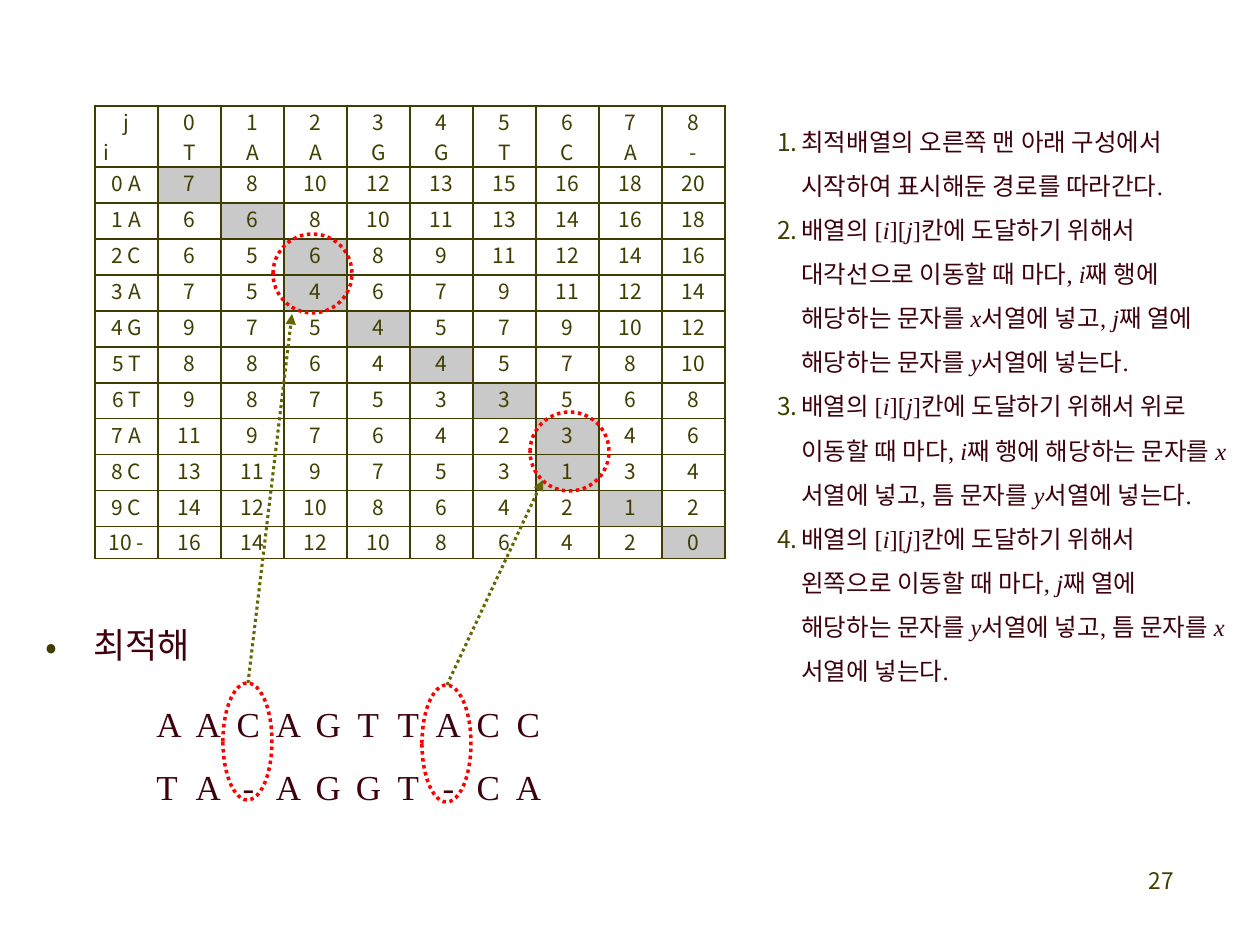
"""Build the sequence alignment slide with its cost table, traced path and rules."""
from lxml.etree import SubElement
from pptx import Presentation
from pptx.dml.color import RGBColor
from pptx.enum.dml import MSO_LINE
from pptx.enum.shapes import MSO_CONNECTOR, MSO_SHAPE
from pptx.enum.text import PP_ALIGN
from pptx.oxml import parse_xml
from pptx.oxml.ns import nsdecls, qn
from pptx.util import Emu, Pt

THEME = {
    "sans": "Noto Sans CJK KR", "serif": "Times New Roman",
    "olive": RGBColor.from_string("3F3E00"), "wine": RGBColor.from_string("3E020C"),
    "red": RGBColor.from_string("FF0000"), "moss": RGBColor.from_string("666600"),
    "gray": RGBColor.from_string("C9C9C9"),
    "cell": Pt(12), "number": Pt(13), "rule": Pt(14), "heading": Pt(20),
    "grid": Pt(1), "ring": Pt(2), "arrow": Pt(1.75),
}


def px(count):
    return Emu(round(count * 914400 / 126))


def write(para, text, font, size, color, **layout):
    for name, value in layout.items():
        setattr(para, name, value)
    for index, part in enumerate(text.split("*")):
        span = para.add_run()
        span.text = part
        span.font.color.rgb = THEME[color]
        style = {"name": THEME[font], "size": THEME[size], "italic": index % 2 == 1}
        for name, value in style.items():
            setattr(span.font, name, value)
        SubElement(span._r.get_or_add_rPr(), qn("a:ea"), typeface=THEME["sans"])


deck = Presentation()
deck.slide_width, deck.slide_height = px(1260), px(945)
page = deck.slides.add_slide(deck.slide_layouts[6])

top_sequence = "TAAGGTCA-"
side_sequence = "AACAGTTACC-"
costs = [
    [7, 8, 10, 12, 13, 15, 16, 18, 20],
    [6, 6, 8, 10, 11, 13, 14, 16, 18],
    [6, 5, 6, 8, 9, 11, 12, 14, 16],
    [7, 5, 4, 6, 7, 9, 11, 12, 14],
    [9, 7, 5, 4, 5, 7, 9, 10, 12],
    [8, 8, 6, 4, 4, 5, 7, 8, 10],
    [9, 8, 7, 5, 3, 3, 5, 6, 8],
    [11, 9, 7, 6, 4, 2, 3, 4, 6],
    [13, 11, 9, 7, 5, 3, 1, 3, 4],
    [14, 12, 10, 8, 6, 4, 2, 1, 2],
    [16, 14, 12, 10, 8, 6, 4, 2, 0],
]
path_columns = [None, 1, 2, 3, 3, 4, 5, 6, 7, 7, 8, 9]
table_rows = [["j\ni"] + [f"{j}\n{letter}" for j, letter in enumerate(top_sequence)]]
for i, letter in enumerate(side_sequence):
    table_rows.append([f"{i} {letter}"] + [str(cost) for cost in costs[i]])

row_heights = [61] + [36] * 10 + [32]
table = page.shapes.add_table(12, 10, px(95), px(106), px(630), px(sum(row_heights))).table
table.first_row = table.horz_banding = False
for column in table.columns:
    column.width = px(63)
for row_index, labels in enumerate(table_rows):
    table.rows[row_index].height = px(row_heights[row_index])
    for column_index, label in enumerate(labels):
        cell = table.cell(row_index, column_index)
        for side in ("left", "right", "top", "bottom"):
            setattr(cell, f"margin_{side}", 0)
            cell._tc.get_or_add_tcPr().append(parse_xml(
                f'<a:ln{side[0].upper()} {nsdecls("a")} w="{THEME["grid"]}"><a:solidFill>'
                f'<a:srgbClr val="{THEME["olive"]}"/></a:solidFill></a:ln{side[0].upper()}>'))
        if column_index == path_columns[row_index]:
            cell.fill.solid()
            cell.fill.fore_color.rgb = THEME["gray"]
        else:
            cell.fill.background()
        for line_index, line in enumerate(label.split("\n")):
            para = cell.text_frame.add_paragraph() if line_index else cell.text_frame.paragraphs[0]
            write(para, line, "sans", "cell", "olive", alignment=PP_ALIGN.CENTER)
            if line == "i":
                para.alignment = PP_ALIGN.LEFT
                para._p.get_or_add_pPr().set("marL", str(px(9)))

rules = [
    "최적배열의 오른쪽 맨 아래 구성에서 시작하여 표시해둔 경로를 따라간다.",
    "배열의 [*i*][*j*]칸에 도달하기 위해서 대각선으로 이동할 때 마다, *i*째 행에 해당하는 문자를 "
    "*x*서열에 넣고, *j*째 열에 해당하는 문자를 *y*서열에 넣는다.",
    "배열의 [*i*][*j*]칸에 도달하기 위해서 위로 이동할 때 마다, *i*째 행에 해당하는 문자를 "
    "*x*서열에 넣고, 틈 문자를 *y*서열에 넣는다.",
    "배열의 [*i*][*j*]칸에 도달하기 위해서 왼쪽으로 이동할 때 마다, *j*째 열에 해당하는 문자를 "
    "*y*서열에 넣고, 틈 문자를 *x*서열에 넣는다.",
]
alignment_rows = ["\t".join(letters) for letters in ("AACAGTTACC", "TA-AGGT-CA")]
bullet_character = ("buChar", {"char": "•"})
bullet_number = ("buAutoNum", {"type": "arabicPeriod"})
text_boxes = [
    ((924, 861, 262, 63), ["27"], ("sans", "number", "olive"),
     {"alignment": PP_ALIGN.RIGHT}, None, 0, 0),
    ((144, 675, 411, 132), alignment_rows, ("serif", "heading", "wine"),
     {"line_spacing": 1.5}, None, 0, 9),
    ((33, 596, 179, 77), ["최적해"], ("serif", "heading", "wine"),
     {"line_spacing": 1.5}, bullet_character, 48, 0),
    ((765, 106, 474, 636), rules, ("serif", "rule", "wine"),
     {"line_spacing": 1.5}, bullet_number, 24, 0),
]
for bounds, lines, style, layout, bullet, indent, tab_count in text_boxes:
    frame = page.shapes.add_textbox(*map(px, bounds)).text_frame
    frame.word_wrap = True
    for line_index, line in enumerate(lines):
        para = frame.add_paragraph() if line_index else frame.paragraphs[0]
        write(para, line, *style, **layout)
        properties = para._p.get_or_add_pPr()
        if bullet:
            properties.set("marL", str(px(indent)))
            properties.set("indent", str(-px(indent)))
            bullet_color = SubElement(properties, qn("a:buClr"))
            SubElement(bullet_color, qn("a:srgbClr"), val=str(THEME["olive"]))
            SubElement(properties, qn("a:buFont"), typeface=THEME["sans"])
            SubElement(properties, qn(f"a:{bullet[0]}"), **bullet[1])
        if tab_count:
            tabs = SubElement(properties, qn("a:tabLst"))
            for tab_index in range(tab_count):
                SubElement(tabs, qn("a:tab"), pos=str(px(52 + 40 * tab_index)), algn="ctr")

for bounds in [(530, 412, 79, 79), (273, 234, 79, 79), (223, 683, 49, 117), (422, 685, 49, 117)]:
    ring = page.shapes.add_shape(MSO_SHAPE.OVAL, *map(px, bounds))
    ring.shadow.inherit = False
    ring.fill.background()
    ring.line.color.rgb = THEME["red"]
    for name, value in {"width": THEME["ring"], "dash_style": MSO_LINE.ROUND_DOT}.items():
        setattr(ring.line, name, value)

for ends in [(447, 685, 543, 480), (248, 683, 292, 314)]:
    arrow = page.shapes.add_connector(MSO_CONNECTOR.STRAIGHT, *map(px, ends))
    arrow.line.color.rgb = THEME["moss"]
    for name, value in {"width": THEME["arrow"], "dash_style": MSO_LINE.ROUND_DOT}.items():
        setattr(arrow.line, name, value)
    properties = arrow._element.spPr
    SubElement(properties.find(qn("a:ln")), qn("a:tailEnd"), type="triangle")
    SubElement(properties, qn("a:effectLst"))

deck.save("out.pptx")
